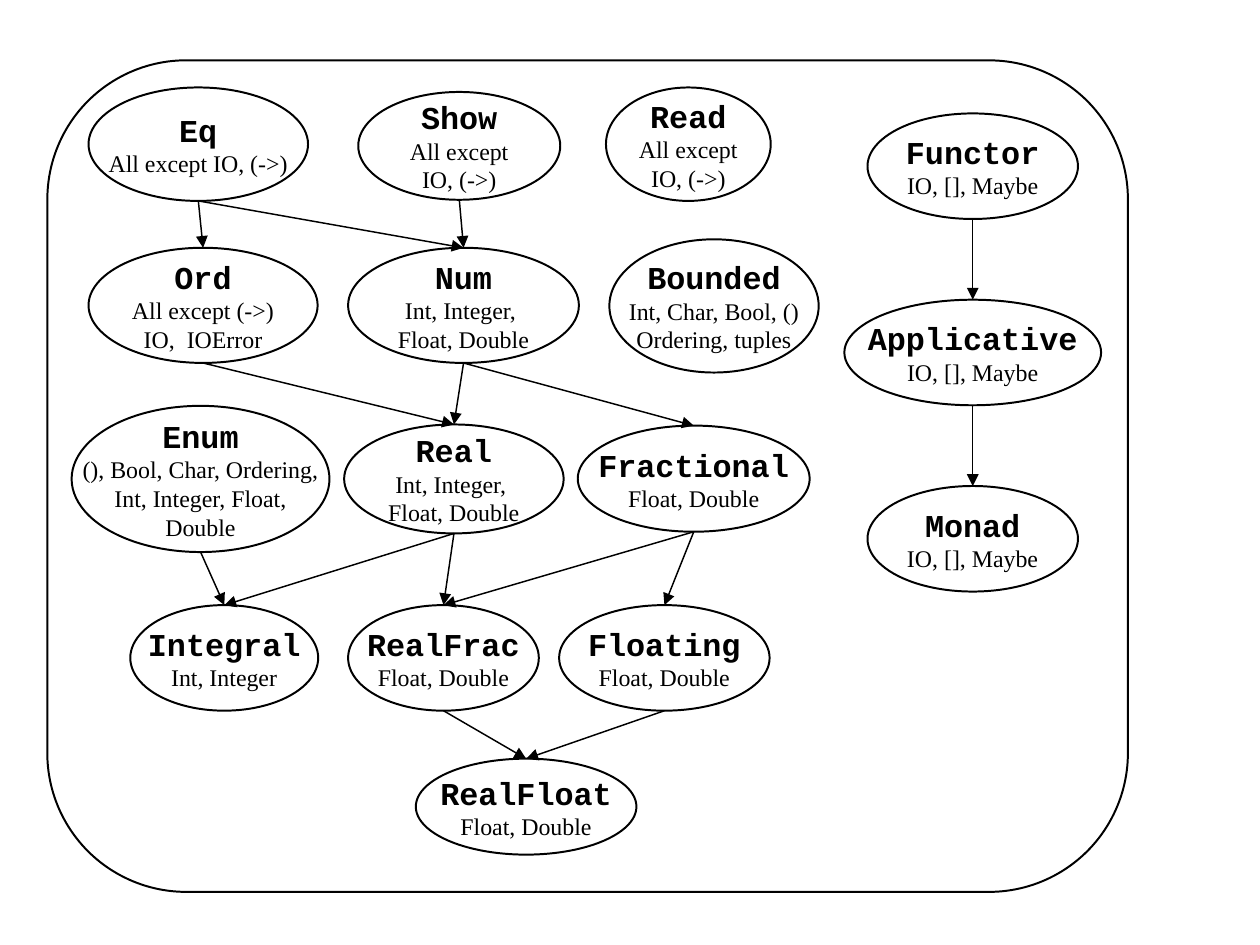
from lxml import etree
from pptx import Presentation
from pptx.dml.color import RGBColor
from pptx.enum.dml import MSO_LINE
from pptx.enum.shapes import MSO_CONNECTOR, MSO_SHAPE
from pptx.enum.text import MSO_ANCHOR, PP_ALIGN
from pptx.oxml.ns import qn
from pptx.util import Cm, Pt

OVAL, ROUND = MSO_SHAPE.OVAL, MSO_SHAPE.ROUNDED_RECTANGLE
STRAIGHT, SOLID = MSO_CONNECTOR.STRAIGHT, MSO_LINE.SOLID
MIDDLE, CENTER = MSO_ANCHOR.MIDDLE, PP_ALIGN.CENTER

INK = "000000"
FRAME = (0.84, 1.07, 19.15, 14.73)
HEAD = {"name": "Courier New", "size": Pt(16), "bold": True}
BODY = {"name": "Times New Roman", "size": Pt(12), "bold": False}

CLASSES = {
    "Eq": ((1.57, 1.55, 3.89, 2.01), ["All except IO, (->)"]),
    "Show": ((6.35, 1.63, 3.58, 1.91), ["All except", "IO, (->)"]),
    "Read": ((10.74, 1.55, 2.92, 2.01), ["All except", "IO, (->)"]),
    "Ord": ((1.57, 4.39, 4.06, 2.04), ["All except (->)", "IO,  IOError"]),
    "Num": ((6.17, 4.39, 4.09, 2.04), ["Int, Integer, ", "Float, Double"]),
    "Bounded": ((10.8, 4.24, 3.71, 2.36),
                ["Int, Char, Bool, ()", "Ordering, tuples"]),
    "Enum": ((1.27, 7.19, 4.57, 2.59),
             ["(), Bool, Char, Ordering,", "Int, Integer, Float,", "Double"]),
    "Real": ((6.1, 7.52, 3.89, 1.93), ["Int, Integer, ", "Float, Double"]),
    "Fractional": ((10.24, 7.54, 4.11, 1.88), ["Float, Double"]),
    "Integral": ((2.31, 10.72, 3.33, 1.87), ["Int, Integer"]),
    "RealFrac": ((6.17, 10.72, 3.38, 1.87), ["Float, Double"]),
    "Floating": ((9.91, 10.72, 3.73, 1.87), ["Float, Double"]),
    "RealFloat": ((7.37, 13.44, 3.91, 1.7), ["Float, Double"]),
}
CHAIN = [("Functor", 3.73), ("Applicative", 4.55), ("Monad", 3.73)]
MID, TOP, STEP, HIGH = 17.24, 2.01, 3.3, 1.87
for row, (name, wide) in enumerate(CHAIN):
    box = (MID - wide / 2, TOP + row * STEP, wide, HIGH)
    CLASSES[name] = (box, ["IO, [], Maybe"])

ARROWS = {
    "Eq": ["Ord", "Num"],
    "Show": ["Num"],
    "Ord": ["Real"],
    "Num": ["Real", "Fractional"],
    "Enum": ["Integral"],
    "Real": ["Integral", "RealFrac"],
    "Fractional": ["RealFrac", "Floating"],
    "RealFrac": ["RealFloat"],
    "Floating": ["RealFloat"],
    "Functor": ["Applicative"],
    "Applicative": ["Monad"],
}


def color(code):
    return RGBColor.from_string(code)


def stroke(line, width):
    line.color.rgb = color(INK)
    line.width = Pt(width)
    line.dash_style = SOLID


def outline(slide, kind, box):
    shape = slide.shapes.add_shape(kind, *map(Cm, box))
    shape.shadow.inherit = False
    shape.fill.background()
    stroke(shape.line, 1)
    return shape


def label(shape, lines):
    frame = shape.text_frame
    frame.word_wrap = False
    frame.vertical_anchor = MIDDLE
    frame.text = "\n".join(lines)
    for num, para in enumerate(frame.paragraphs):
        para.alignment = CENTER
        font = para.runs[0].font
        for key, value in (BODY if num else HEAD).items():
            setattr(font, key, value)
        font.color.rgb = color(INK)


def arrow(slide, start, end):
    link = slide.shapes.add_connector(STRAIGHT, 0, 0, 0, 0)
    link.begin_connect(start, 2)
    link.end_connect(end, 0)
    joint = next(link._element.iter(qn("a:stCxn")))
    joint.set("idx", "4")
    stroke(link.line, 0.75)
    tip = etree.SubElement(link.line._get_or_add_ln(), qn("a:tailEnd"))
    tip.set("type", "triangle")
    etree.SubElement(link._element.spPr, qn("a:effectLst"))


def main():
    deck = Presentation()
    deck.slide_width, deck.slide_height = Cm(22.33), Cm(16.74)
    slide = deck.slides.add_slide(deck.slide_layouts[6])
    outline(slide, ROUND, FRAME).adjustments[0] = 0.167
    ovals = {}
    for name, (box, types) in CLASSES.items():
        ovals[name] = outline(slide, OVAL, box)
        label(ovals[name], [name] + types)
    for start, ends in ARROWS.items():
        for end in ends:
            arrow(slide, ovals[start], ovals[end])
    deck.save("out.pptx")


if __name__ == "__main__":
    main()
